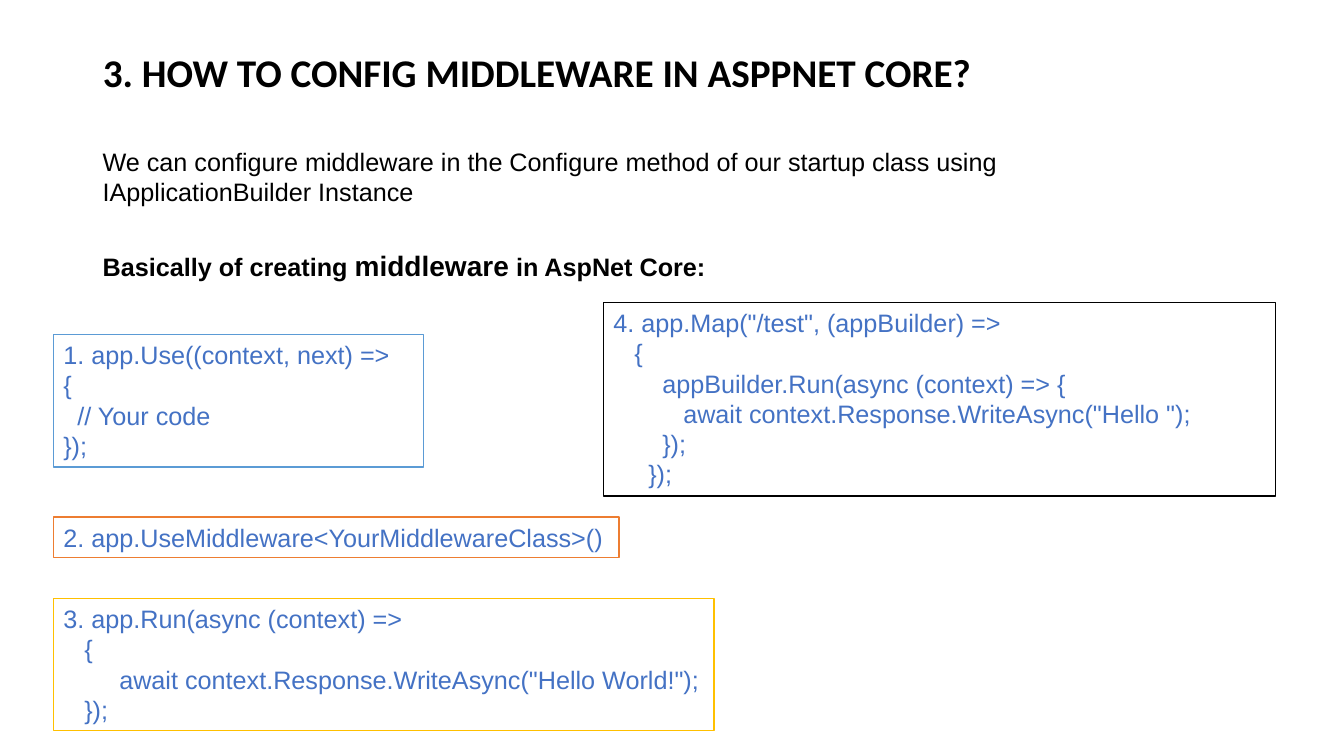
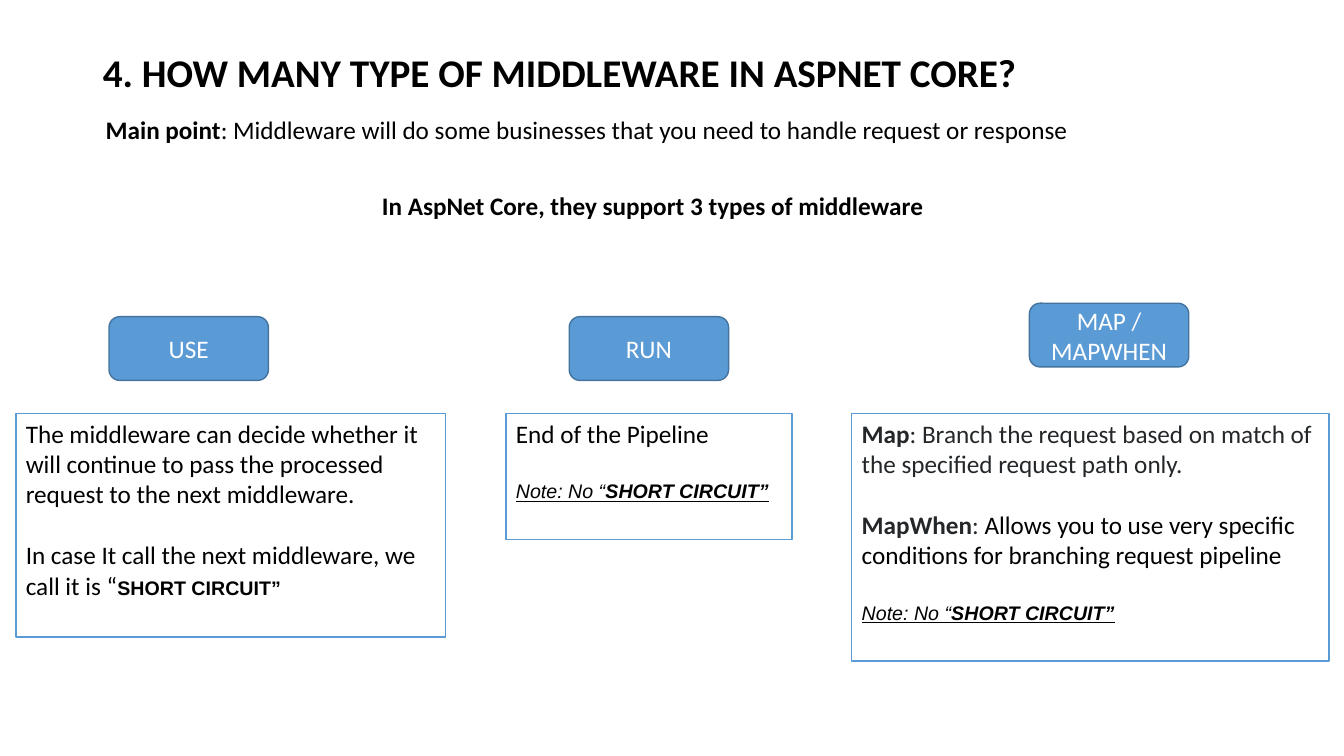
from dataclasses import dataclass, replace
from typing import Optional

from pptx import Presentation
from pptx.dml.color import RGBColor
from pptx.enum import shapes, text
from pptx.util import Pt

COLORS = {
    "black": "000000",
    "white": "FFFFFF",
    "charcoal": "242729",
    "code": "4472C4",
    "blue": "5B9BD5",
    "blue edge": "43739E",
    "orange": "ED7D31",
    "gold": "FFC000",
}
SPACE_WIDTH = 5  # one Arial space at 18 pt
CALIBRI_LINE = 22  # one Calibri line at 18 pt
TEXT_LEFT = 66.24
TEXT_WIDTH = 804.24


@dataclass(frozen=True)
class TextStyle:
    font: str = "Calibri"
    size: float = 18
    color: str = "black"
    bold: bool = False
    italic: bool = False
    underline: bool = False


@dataclass(frozen=True)
class Span:
    text: str
    style: Optional[TextStyle] = None  # None keeps the paragraph's style


@dataclass(frozen=True)
class Line:
    spans: tuple[Span, ...]
    style: TextStyle
    gap: float = 0
    indent: float = 0
    align: text.PP_ALIGN = text.PP_ALIGN.LEFT


@dataclass(frozen=True)
class Area:
    left: float
    top: float
    width: float
    height: float

    def lengths(self) -> tuple[Pt, ...]:
        return Pt(self.left), Pt(self.top), Pt(self.width), Pt(self.height)


@dataclass(frozen=True)
class CodeBox:
    area: Area
    edge: str
    code: tuple[tuple[int, str], ...]  # leading spaces, statement


@dataclass(frozen=True)
class MiddlewareType:
    name: str
    button_top: float
    area: Area
    lines: tuple[Line, ...]


BODY = TextStyle()
BODY_BOLD = replace(BODY, bold=True)
DARK = replace(BODY, color="charcoal")
DARK_BOLD = replace(DARK, bold=True)
TITLE = replace(BODY_BOLD, size=28)
BUTTON = replace(BODY, color="white")
ARIAL = TextStyle(font="Arial")
ARIAL_BOLD = replace(ARIAL, bold=True)
CODE = replace(ARIAL, color="code")
TERM = replace(ARIAL_BOLD, size=14)
NOTE = replace(ARIAL, size=14, italic=True, underline=True)

SHORT_CIRCUIT = "SHORT CIRCUIT”"
NO_SHORT_CIRCUIT = Line(
    (Span("Note: No “"), Span(SHORT_CIRCUIT, replace(NOTE, bold=True))),
    NOTE, gap=CALIBRI_LINE)

CODE_LEFT = 38.16
CODE_BOXES = (
    CodeBox(Area(CODE_LEFT, 239, 264.5, 94.5), "blue", (
        (0, "1. app.Use((context, next) =>"),
        (0, "{"),
        (2, "// Your code"),
        (0, "});"))),
    CodeBox(Area(CODE_LEFT, 369.3, 404, 29), "orange", (
        (0, "2. app.UseMiddleware<YourMiddlewareClass>()"),)),
    CodeBox(Area(CODE_LEFT, 427.5, 471.8, 94.5), "gold", (
        (0, "3. app.Run(async (context) =>"),
        (3, "{"),
        (8, 'await context.Response.WriteAsync("Hello World!");'),
        (3, "});"))),
    CodeBox(Area(431, 216, 480.2, 138.2), "black", (
        (0, '4. app.Map("/test", (appBuilder) =>'),
        (3, "{"),
        (7, "appBuilder.Run(async (context) => {"),
        (10, 'await context.Response.WriteAsync("Hello ");'),
        (7, "});"),
        (5, "});"))),
)

BUTTON_LEFT, BUTTON_PITCH = 77.9, 328.7
BUTTON_WIDTH, BUTTON_HEIGHT = 113.8, 45.5
CARD_TOP = 295.2
MIDDLEWARE_TYPES = (
    MiddlewareType("USE", 226.2, Area(11.3, CARD_TOP, 306.9, 160), (
        Line((Span("The middleware can decide whether it will continue to pass "
                   "the processed request to the next middleware."),), BODY),
        Line((Span("In case It call the next middleware, we call it is “"),
              Span(SHORT_CIRCUIT, TERM)), BODY, gap=CALIBRI_LINE))),
    MiddlewareType("RUN", 226.2, Area(361.4, CARD_TOP, 204.3, 90), (
        Line((Span("End of the Pipeline"),), BODY),
        NO_SHORT_CIRCUIT)),
    MiddlewareType("MAP / MAPWHEN", 216.6, Area(608.4, CARD_TOP, 340.8, 177), (
        Line((Span("Map", DARK_BOLD),
              Span(": Branch the request based on match of the specified "
                   "request path only.")), DARK),
        Line((Span("MapWhen", DARK_BOLD), Span(": "),
              Span("Allows you to use very specific conditions for branching "
                   "request pipeline", BODY)), DARK, gap=CALIBRI_LINE),
        NO_SHORT_CIRCUIT)),
)


def color(name: str) -> RGBColor:
    return RGBColor.from_string(COLORS[name])


def apply_style(font, style: TextStyle) -> None:
    font.name = style.font
    font.size = Pt(style.size)
    font.color.rgb = color(style.color)
    font.bold = style.bold
    font.italic = style.italic
    font.underline = style.underline


def write_lines(frame, lines: tuple[Line, ...]) -> None:
    frame.word_wrap = True
    for index, line in enumerate(lines):
        paragraph = frame.add_paragraph() if index else frame.paragraphs[0]
        paragraph.alignment = line.align
        paragraph.space_before = Pt(line.gap)
        if line.indent:
            properties = paragraph._p.get_or_add_pPr()
            properties.set("marL", str(Pt(line.indent)))
            properties.set("indent", "0")
        apply_style(paragraph.font, line.style)
        for span in line.spans:
            run = paragraph.add_run()
            run.text = span.text
            if span.style:
                apply_style(run.font, span.style)


def add_titled_slide(presentation, title: str):
    slide = presentation.slides.add_slide(presentation.slide_layouts[5])
    shape = slide.shapes.title
    shape.left, shape.top, shape.width, shape.height = Area(
        TEXT_LEFT, 28.8, TEXT_WIDTH, 49.7).lengths()
    frame = shape.text_frame
    frame.auto_size = text.MSO_AUTO_SIZE.NONE
    frame.vertical_anchor = text.MSO_ANCHOR.MIDDLE
    write_lines(frame, (Line((Span(title),), TITLE),))
    frame.paragraphs[0].line_spacing = 0.9
    return slide


def add_text(slide, area: Area, line: Line) -> None:
    write_lines(slide.shapes.add_textbox(*area.lengths()).text_frame, (line,))


def add_box(slide, area: Area, lines: tuple[Line, ...], edge: str,
            fill: str = "white",
            kind: shapes.MSO_SHAPE = shapes.MSO_SHAPE.RECTANGLE,
            anchor: text.MSO_ANCHOR = text.MSO_ANCHOR.TOP) -> None:
    shape = slide.shapes.add_shape(kind, *area.lengths())
    shape.shadow.inherit = False
    shape.fill.solid()
    shape.fill.fore_color.rgb = color(fill)
    shape.line.color.rgb = color(edge)
    shape.line.width = Pt(1)
    shape.text_frame.vertical_anchor = anchor
    write_lines(shape.text_frame, lines)


def build_configuration_slide(presentation) -> None:
    slide = add_titled_slide(
        presentation, "3. HOW TO CONFIG MIDDLEWARE IN ASPPNET CORE?")
    add_text(slide, Area(TEXT_LEFT, 100.8, TEXT_WIDTH, 51), Line(
        (Span("We can configure middleware in the Configure method of our "
              "startup class using IApplicationBuilder Instance"),), ARIAL))
    add_text(slide, Area(TEXT_LEFT, 174.2, 449.3, 31.5), Line(
        (Span("Basically of creating "),
         Span("middleware", replace(ARIAL_BOLD, size=20)),
         Span(" in AspNet Core:")), ARIAL_BOLD))
    for box in CODE_BOXES:
        lines = tuple(Line((Span(statement),), CODE, indent=spaces * SPACE_WIDTH)
                      for spaces, statement in box.code)
        add_box(slide, box.area, lines, box.edge)


def build_types_slide(presentation) -> None:
    slide = add_titled_slide(
        presentation, "4. HOW MANY TYPE OF MIDDLEWARE IN ASPNET CORE?")
    add_text(slide, Area(68.4, 77.9, 703.4, 29), Line(
        (Span("Main point", BODY_BOLD),
         Span(": Middleware will do some businesses that you need to handle "
              "request or response")), BODY))
    add_text(slide, Area(265.7, 132.6, 419, 29), Line(
        (Span("In AspNet Core, they support 3 types of middleware"),),
        BODY_BOLD))
    for column, kind in enumerate(MIDDLEWARE_TYPES):
        button = Area(BUTTON_LEFT + column * BUTTON_PITCH, kind.button_top,
                      BUTTON_WIDTH, BUTTON_HEIGHT)
        label = Line((Span(kind.name),), BUTTON, align=text.PP_ALIGN.CENTER)
        add_box(slide, button, (label,), "blue edge", "blue",
                shapes.MSO_SHAPE.ROUNDED_RECTANGLE, text.MSO_ANCHOR.MIDDLE)
        add_box(slide, kind.area, kind.lines, "blue")


def main() -> None:
    presentation = Presentation()
    presentation.slide_width = Pt(960)
    presentation.slide_height = Pt(540)
    build_configuration_slide(presentation)
    build_types_slide(presentation)
    presentation.save("out.pptx")


if __name__ == "__main__":
    main()
